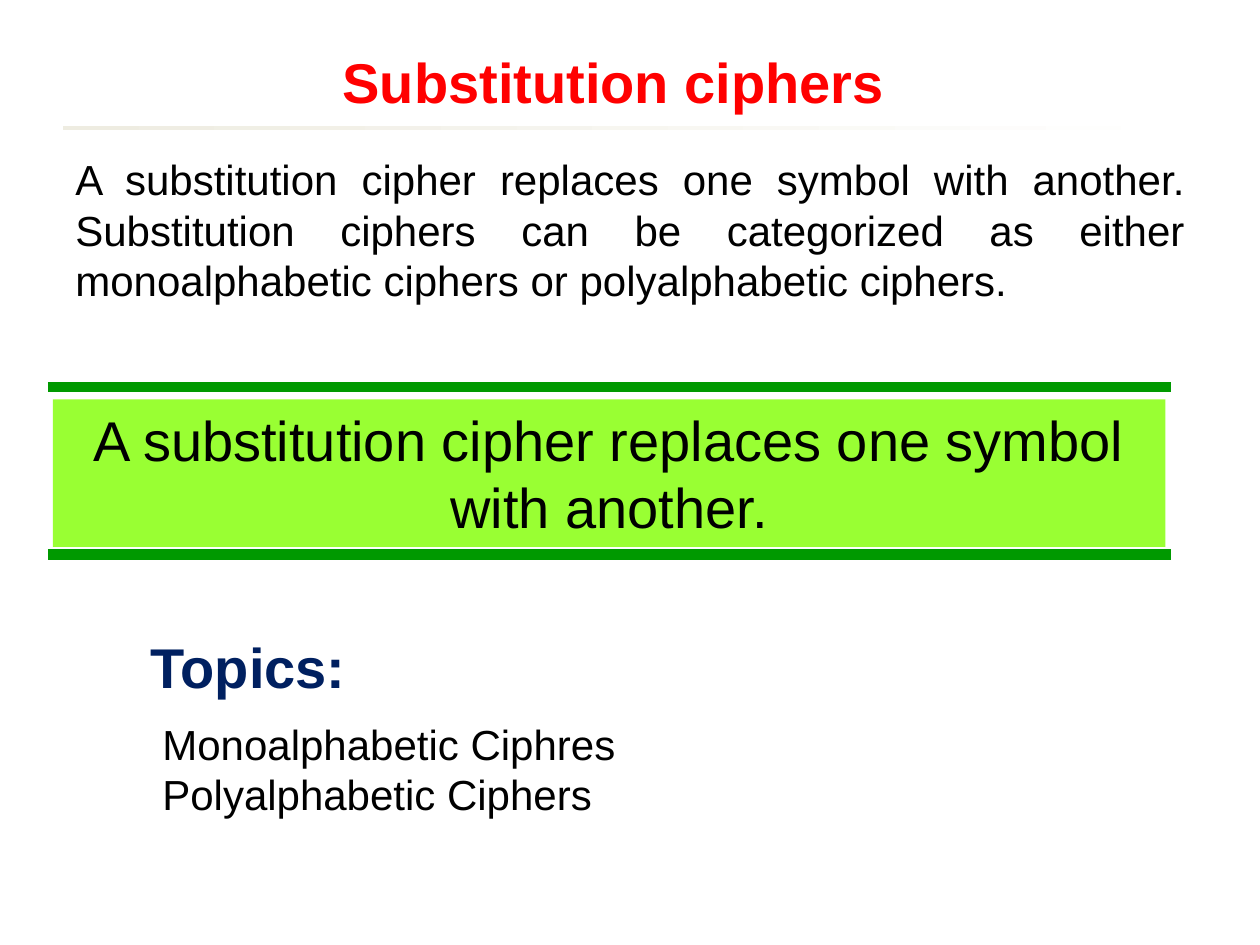
from pptx import Presentation
from pptx.dml.color import RGBColor
from pptx.enum.shapes import MSO_CONNECTOR, MSO_SHAPE
from pptx.enum.text import MSO_ANCHOR as Anchor, PP_ALIGN as Align
from pptx.oxml.ns import qn
from pptx.util import Inches, Pt
from lxml.etree import SubElement


def color(hex_code):
    """Turn a hex string into a colour."""
    return RGBColor.from_string(hex_code)


def write(frame, text, size, ink="000000", bold=False, align=Align.LEFT, wrap=True):
    """Fill a text frame, one paragraph per line of text."""
    frame.word_wrap = wrap
    frame.text = text
    for paragraph in frame.paragraphs:
        paragraph.alignment = align
        for run in paragraph.runs:
            run.font.name = "Arial"
            run.font.size = Pt(size)
            run.font.bold = bold
            run.font.color.rgb = color(ink)


def add_text(slide, box, text, size, anchor=Anchor.TOP, **style):
    """Add a text box and return nothing."""
    frame = slide.shapes.add_textbox(*map(Inches, box)).text_frame
    frame.vertical_anchor = anchor
    write(frame, text, size, **style)


def add_bar(slide, box):
    """Add a rectangle without outline or shadow."""
    bar = slide.shapes.add_shape(MSO_SHAPE.RECTANGLE, *map(Inches, box))
    bar.shadow.inherit = False
    bar.line.fill.background()
    return bar


def add_fading_rule(slide, box, start, end):
    """Add a thin bar that fades from left to right."""
    fill = add_bar(slide, box).fill
    fill.gradient()
    fill.gradient_angle = 0
    for stop, shade in zip(fill.gradient_stops, (start, end)):
        stop.color.rgb = color(shade)


def add_border(slide, left, right, y):
    """Add a thick horizontal green line."""
    border = slide.shapes.add_connector(
        MSO_CONNECTOR.STRAIGHT, Inches(left), Inches(y), Inches(right), Inches(y))
    border.line.color.rgb = color("009900")
    border.line.width = Pt(6)
    SubElement(border._element.spPr, qn("a:effectLst"))


def add_statement(slide, box, text):
    """Add the key statement on its green panel."""
    panel = add_bar(slide, box)
    panel.fill.solid()
    panel.fill.fore_color.rgb = color("99FF33")
    panel.text_frame.vertical_anchor = Anchor.TOP
    write(panel.text_frame, text, 32, align=Align.CENTER)


def main():
    """Build and save the slide."""
    deck = Presentation()
    deck.slide_width, deck.slide_height = Inches(10), Inches(7.5)
    slide = deck.slides.add_slide(deck.slide_layouts[6])

    statement = "A substitution cipher replaces one symbol with another."
    add_text(slide, (2.29, 0.33, 4.83, 0.64), "Substitution ciphers", 32,
             ink="FF0000", bold=True, align=Align.RIGHT)
    add_text(slide, (0.5, 1.17, 9, 1.3),
             statement + " Substitution ciphers can be categorized as either "
             "monoalphabetic ciphers or polyalphabetic ciphers.",
             24, anchor=Anchor.MIDDLE, align=Align.JUSTIFY)
    add_text(slide, (1.19, 5.65, 5.25, 0.9),
             "Monoalphabetic Ciphres\nPolyalphabetic Ciphers", 24)
    add_text(slide, (1.08, 4.97, 1.78, 0.64), "Topics:", 32,
             ink="002060", bold=True, align=Align.CENTER, wrap=False)
    for y in (3.07, 4.4):
        add_border(slide, 0.38, 9.29, y)
    add_statement(slide, (0.42, 3.17, 8.83, 1.17), statement)
    add_fading_rule(slide, (0.5, 1, 9, 0.03), "EEECE1", "FFFFFF")

    deck.save("out.pptx")


if __name__ == "__main__":
    main()
